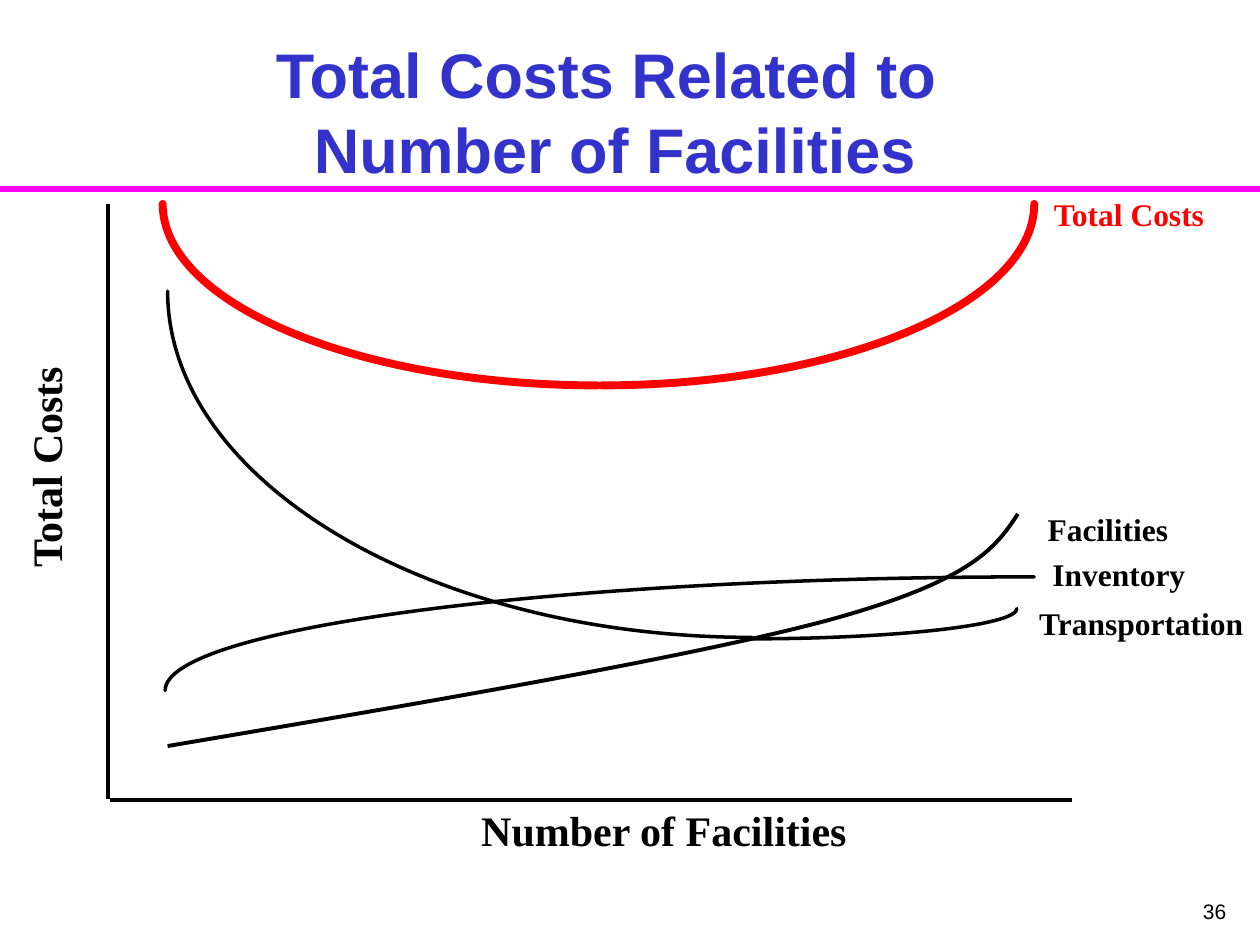
from dataclasses import dataclass

from pptx import Presentation
from pptx.dml.color import RGBColor
from pptx.enum.shapes import MSO_CONNECTOR
from pptx.enum.text import MSO_ANCHOR, MSO_AUTO_SIZE, PP_ALIGN
from pptx.oxml.ns import qn
from pptx.util import Cm, Pt


@dataclass(frozen=True)
class Theme:
    ink: RGBColor = RGBColor(0x00, 0x00, 0x00)
    title: RGBColor = RGBColor(0x33, 0x33, 0xCC)
    rule: RGBColor = RGBColor(0xFF, 0x00, 0xFF)
    total: RGBColor = RGBColor(0xFF, 0x00, 0x00)
    sans: str = "Arial"
    serif: str = "Times New Roman"
    title_size: int = 36
    axis_size: int = 24
    label_size: int = 18
    number_size: int = 12
    thin: float = 2
    medium: float = 2.25
    rule_width: float = 4
    thick: float = 4.5


THEME = Theme()
CIRCLE_HANDLE = 0.55  # handle length that turns a Bezier into a quarter ellipse


def place(shape, left, top, width, height):
    shape.left, shape.top = Cm(left), Cm(top)
    shape.width, shape.height = Cm(width), Cm(height)


def style_paragraph(paragraph, font_name, size, color, align, bold=True):
    paragraph.alignment = align
    font = paragraph.font
    font.name, font.size, font.bold = font_name, Pt(size), bold
    font.color.rgb = color


def add_title(slide, text):
    title = slide.shapes.title
    place(title, 0.66, 2.18, 23.47, 1.63)
    frame = title.text_frame
    frame.text = text
    frame.auto_size = MSO_AUTO_SIZE.NONE
    frame.vertical_anchor = MSO_ANCHOR.BOTTOM
    frame.margin_left = frame.margin_right = Cm(0.13)
    frame.margin_top = frame.margin_bottom = Cm(0.05)
    for paragraph in frame.paragraphs:
        style_paragraph(paragraph, THEME.sans, THEME.title_size, THEME.title,
                        PP_ALIGN.CENTER)


def add_label(slide, text, box, size, color=THEME.ink, font_name=THEME.serif,
              align=PP_ALIGN.CENTER, bold=True, rotation=0):
    label = slide.shapes.add_textbox(*map(Cm, box))
    label.rotation = rotation
    frame = label.text_frame
    frame.word_wrap = False
    frame.text = text
    style_paragraph(frame.paragraphs[0], font_name, size, color, align, bold)


def add_line(slide, start, end, color, width):
    line = slide.shapes.add_connector(MSO_CONNECTOR.STRAIGHT,
                                      *map(Cm, (*start, *end)))
    line.line.color.rgb = color
    line.line.width = Pt(width)
    properties = line._element.spPr
    properties.append(properties.makeelement(qn("a:effectLst"), {}))


def bend_segments(curve):
    """Turn each three straight segments into one cubic Bezier segment."""
    segments = list(curve._element.iter(qn("a:lnTo")))
    for i in range(0, len(segments), 3):
        first = segments[i]
        bezier = first.makeelement(qn("a:cubicBezTo"), {})
        first.addprevious(bezier)
        for segment in segments[i:i + 3]:
            bezier.append(segment[0])
            segment.getparent().remove(segment)


def add_curve(slide, points, color=THEME.ink, width=THEME.thin, cap="rnd"):
    """Draw joined cubic Beziers: a start, then three points per segment."""
    start, *rest = [(Cm(x), Cm(y)) for x, y in points]
    builder = slide.shapes.build_freeform(*start)
    builder.add_line_segments(rest, close=False)
    curve = builder.convert_to_shape()
    bend_segments(curve)
    curve.shadow.inherit = False
    curve.fill.background()
    curve.line.color.rgb = color
    curve.line.width = Pt(width)
    curve._element.spPr.find(qn("a:ln")).set("cap", cap)


def add_quarter_ellipse(slide, steep, flat, **style):
    """Curve that leaves steep vertically and reaches flat horizontally."""
    (x0, y0), (x1, y1) = steep, flat
    first = (x0, y0 + CIRCLE_HANDLE * (y1 - y0))
    second = (x1 + CIRCLE_HANDLE * (x0 - x1), y1)
    add_curve(slide, [steep, first, second, flat], **style)


def add_axes(slide):
    add_line(slide, (2.18, 4.11), (2.18, 16.1), THEME.ink, THEME.thin)
    add_line(slide, (2.21, 16.13), (21.62, 16.13), THEME.ink, THEME.thin)
    add_label(slide, "Total Costs", (-1.5, 8.78, 4.83, 1.27), THEME.axis_size,
              rotation=270)
    add_label(slide, "Number of Facilities", (9.45, 16.1, 7.87, 1.27),
              THEME.axis_size)


def add_cost_curves(slide):
    total_style = {"color": THEME.total, "width": THEME.thick}
    for steep, flat, style in (
        ((3.38, 5.87), (15.16, 12.85), {}),            # transportation, falling
        ((20.5, 12.27), (15.04, 12.88), {}),           # transportation, rising
        ((3.33, 13.92), (20.85, 11.63), {}),           # inventory
        ((3.28, 4.11), (12.04, 7.77), total_style),    # total, falling
        ((20.85, 4.11), (12.12, 7.77), total_style),   # total, rising
    ):
        add_quarter_ellipse(slide, steep, flat, **style)

    facilities = [(3.38, 15.04), (8.64, 14.15), (13.87, 13.26), (16.71, 12.5),
                  (19.58, 11.71), (20.07, 11.05), (20.52, 10.36)]
    add_curve(slide, facilities, width=THEME.medium, cap="flat")


def add_curve_labels(slide):
    for text, left, top, width, color, align in (
        ("Total Costs", 20.96, 3.81, 3.6, THEME.total, PP_ALIGN.CENTER),
        ("Facilities", 20.85, 10.16, 2.97, THEME.ink, PP_ALIGN.CENTER),
        ("Inventory", 20.93, 11.07, 3.25, THEME.ink, PP_ALIGN.CENTER),
        ("Transportation", 20.7, 12.05, 4.7, THEME.ink, PP_ALIGN.LEFT),
    ):
        add_label(slide, text, (left, top, width, 1.02), THEME.label_size,
                  color, align=align)


def main():
    presentation = Presentation()
    presentation.slide_width, presentation.slide_height = Cm(25.4), Cm(19.05)
    title_only = presentation.slide_layouts[5]
    slide = presentation.slides.add_slide(title_only)

    add_line(slide, (0, 3.81), (25.4, 3.81), THEME.rule, THEME.rule_width)
    add_title(slide, "Total Costs Related to \nNumber of Facilities")
    add_axes(slide)
    add_cost_curves(slide)
    add_curve_labels(slide)
    add_label(slide, "36", (19.69, 17.98, 5.28, 1.07), THEME.number_size,
              font_name=THEME.sans, align=PP_ALIGN.RIGHT, bold=False)

    presentation.save("out.pptx")


if __name__ == "__main__":
    main()
